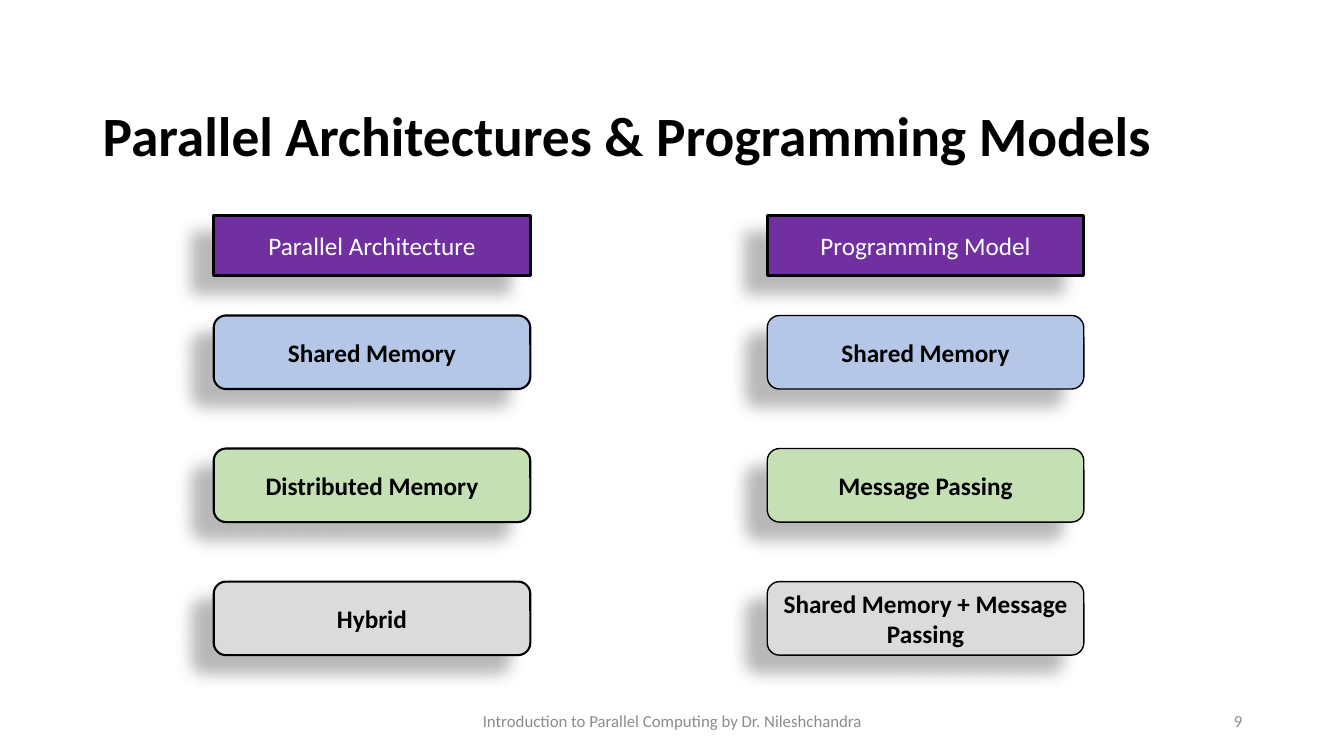
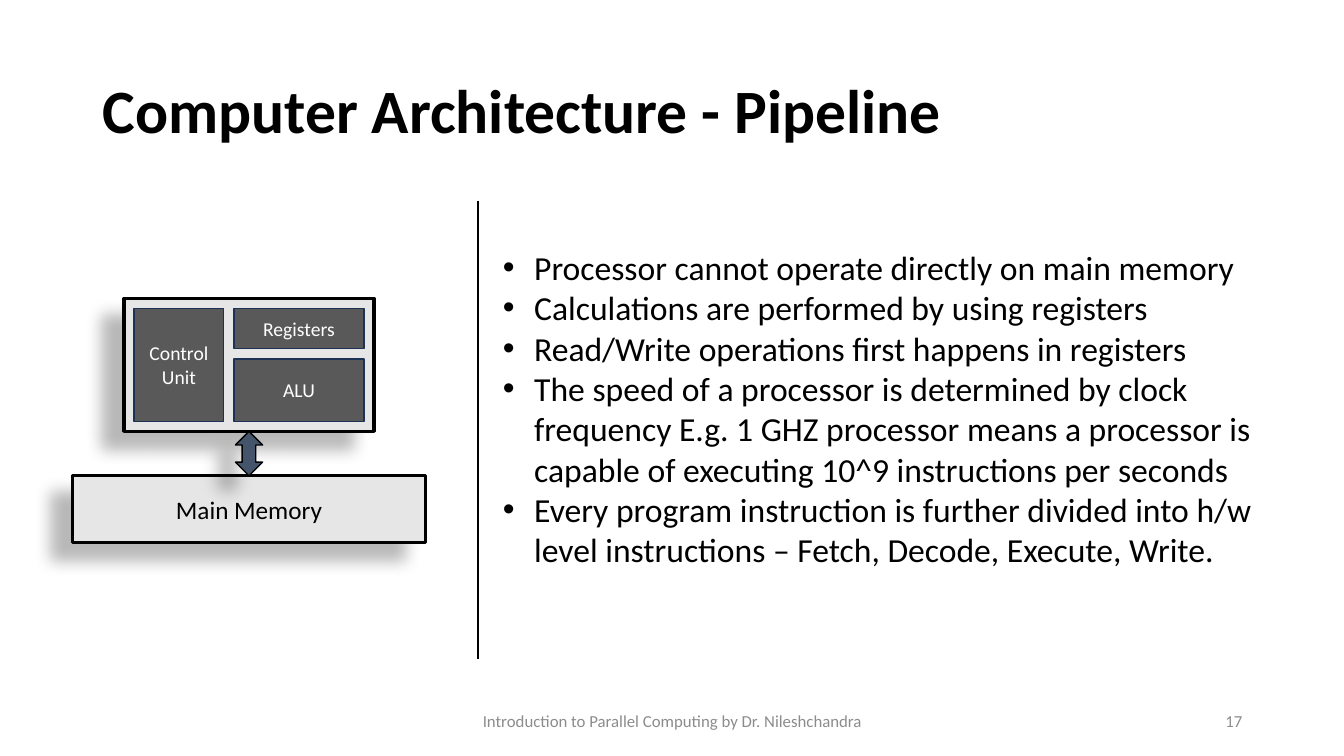
from lxml import etree
from pptx import Presentation
from pptx.dml.color import RGBColor
from pptx.enum.shapes import MSO_CONNECTOR, MSO_SHAPE
from pptx.enum.text import MSO_ANCHOR, PP_ALIGN
from pptx.oxml.ns import qn
from pptx.util import Inches, Pt

RECT, ROUND, ARROW = MSO_SHAPE.RECTANGLE, MSO_SHAPE.ROUNDED_RECTANGLE, MSO_SHAPE.UP_DOWN_ARROW
STRAIGHT = MSO_CONNECTOR.STRAIGHT
LEFT, CENTER, RIGHT = PP_ALIGN.LEFT, PP_ALIGN.CENTER, PP_ALIGN.RIGHT
TOP, MIDDLE = MSO_ANCHOR.TOP, MSO_ANCHOR.MIDDLE

# Shared style
FONT = "Calibri"
BLACK = RGBColor(0x00, 0x00, 0x00)
WHITE = RGBColor(0xFF, 0xFF, 0xFF)
FOOTER_GRAY = RGBColor(0x8C, 0x8C, 0x8C)
PURPLE = RGBColor(0x70, 0x30, 0xA0)
BLUE = RGBColor(0xB4, 0xC7, 0xE7)
GREEN = RGBColor(0xC5, 0xE0, 0xB4)
GRAY = RGBColor(0xDB, 0xDB, 0xDB)
LIGHT = RGBColor(0xE7, 0xE6, 0xE6)
DARK = RGBColor(0x59, 0x59, 0x59)
NAVY = RGBColor(0x1E, 0x32, 0x56)
SLATE = RGBColor(0x44, 0x54, 0x6A)

SLIDE_W, SLIDE_H = 13.33, 7.5
MARGIN = 0.92
FOOTER = "Introduction to Parallel Computing by Dr. Nileshchandra"

# Architecture grid
COLUMNS = (2.12, 7.61)
BOX_W, BOX_H, HEADER_H = 3.14, 0.73, 0.59
HEADER_TOP, FIRST_ROW, ROW_STEP = 2.14, 3.13, 1.32


def add_bullet(p, indent):
    pPr = p._p.get_or_add_pPr()
    pPr.set("marL", str(Inches(indent)))
    pPr.set("indent", str(-Inches(indent)))
    etree.SubElement(pPr, qn("a:buFont"), typeface="Arial")
    etree.SubElement(pPr, qn("a:buChar"), char="•")


def write(sp, text, size=18, color=BLACK, bold=False, align=CENTER,
          anchor=MIDDLE, spacing=None, bullet=None):
    """Fill a shape with text, one paragraph per line."""
    tf = sp.text_frame
    tf.word_wrap = True
    tf.vertical_anchor = anchor
    for i, line in enumerate(text.split("\n")):
        p = tf.add_paragraph() if i else tf.paragraphs[0]
        if bullet:
            add_bullet(p, bullet)
        p.alignment = align
        if spacing:
            p.line_spacing = spacing
        r = p.add_run()
        r.text = line
        r.font.name, r.font.size, r.font.bold = FONT, Pt(size), bold
        r.font.color.rgb = color


def add_text(slide, x, y, w, h, text, **style):
    sp = slide.shapes.add_textbox(Inches(x), Inches(y), Inches(w), Inches(h))
    write(sp, text, **style)


def add_shadow(sp):
    effects = sp._element.spPr.find(qn("a:effectLst"))
    shadow = etree.SubElement(effects, qn("a:outerShdw"), blurRad=str(Pt(11.8)),
                              dist=str(Pt(19.7)), dir=str(141 * 60000),
                              algn="ctr", rotWithShape="0")
    color = etree.SubElement(shadow, qn("a:srgbClr"), val=str(BLACK))
    etree.SubElement(color, qn("a:alpha"), val="28000")


def add_box(slide, kind, x, y, w, h, fill, text=None, line=BLACK,
            line_width=2.25, shadow=True, **style):
    sp = slide.shapes.add_shape(kind, Inches(x), Inches(y), Inches(w), Inches(h))
    sp.fill.solid()
    sp.fill.fore_color.rgb = fill
    sp.line.color.rgb = line
    sp.line.width = Pt(line_width)
    sp.shadow.inherit = False
    if shadow:
        add_shadow(sp)
    if text:
        write(sp, text, **style)


def add_divider(slide, x, top, bottom):
    ln = slide.shapes.add_connector(STRAIGHT, Inches(x), Inches(top), Inches(x), Inches(bottom))
    ln.line.color.rgb = BLACK
    ln.line.width = Pt(1.5)
    etree.SubElement(ln._element.spPr, qn("a:effectLst"))


def new_slide(prs, title, number, title_size=44, title_top=0.4):
    slide = prs.slides.add_slide(prs.slide_layouts[6])
    add_text(slide, MARGIN, title_top, SLIDE_W - 2 * MARGIN, 1.45, title,
             size=title_size, bold=True, align=LEFT, spacing=0.9)
    footer = dict(size=12, color=FOOTER_GRAY)
    add_text(slide, 4.42, 6.95, 4.5, 0.4, FOOTER, **footer)
    add_text(slide, 9.42, 6.95, 3, 0.4, str(number), align=RIGHT, **footer)
    return slide


def architectures_slide(prs):
    slide = new_slide(prs, "Parallel Architectures & Programming Models", 9,
                      title_size=39.6, title_top=0.65)
    columns = (
        ("Parallel Architecture", 1.5, ("Shared Memory", "Distributed Memory", "Hybrid")),
        ("Programming Model", 1,
         ("Shared Memory", "Message Passing", "Shared Memory + Message Passing")),
    )
    for x, (header, line_width, labels) in zip(COLUMNS, columns):
        for row, (label, fill) in enumerate(zip(labels, (BLUE, GREEN, GRAY))):
            add_box(slide, ROUND, x, FIRST_ROW + row * ROW_STEP, BOX_W, BOX_H, fill,
                    label, line_width=line_width, bold=True)
        add_box(slide, RECT, x, HEADER_TOP, BOX_W, HEADER_H, PURPLE, header, color=WHITE)


def pipeline_slide(prs):
    slide = new_slide(prs, "Computer Architecture - Pipeline", 17)

    # Explanation
    add_text(slide, 4.89, 2.4, 7.73, 3.33, "\n".join((
        "Processor cannot operate directly on main memory",
        "Calculations are performed by using registers",
        "Read/Write operations first happens in registers",
        "The speed of a processor is determined by clock frequency E.g. 1 GHZ processor "
        "means a processor is capable of executing 10^9 instructions per seconds",
        "Every program instruction is further divided into h/w level instructions – "
        "Fetch, Decode, Execute, Write.",
    )), size=24, align=LEFT, anchor=TOP, bullet=0.31)

    # Processor and its units
    x, y, w, h, gap = 1.23, 2.96, 2.48, 1.32, 0.1
    control_w, registers_h = 0.89, 0.4
    inner_h = h - 2 * gap
    right_x, right_w = x + control_w + 2 * gap, w - control_w - 3 * gap
    add_box(slide, RECT, x, y, w, h, LIGHT)
    units = (
        ("Registers", right_x, y + gap, right_w, registers_h),
        ("ALU", right_x, y + registers_h + 2 * gap, right_w, inner_h - registers_h - gap),
        ("Control\nUnit", x + gap, y + gap, control_w, inner_h),
    )
    for label, *place in units:
        add_box(slide, RECT, *place, DARK, label, line=NAVY, line_width=1,
                shadow=False, size=14, color=WHITE)

    # Memory and data path
    memory_top, memory_w, arrow_w = 4.72, 3.5, 0.27
    center = x + w / 2
    add_box(slide, RECT, center - memory_w / 2, memory_top, memory_w, 0.66, LIGHT, "Main Memory")
    add_box(slide, ARROW, center - arrow_w / 2, y + h, arrow_w, memory_top - y - h,
            SLATE, line_width=1)
    add_divider(slide, 4.74, 1.99, 6.54)


def main():
    prs = Presentation()
    prs.slide_width, prs.slide_height = Inches(SLIDE_W), Inches(SLIDE_H)
    architectures_slide(prs)
    pipeline_slide(prs)
    prs.save("out.pptx")


if __name__ == "__main__":
    main()
